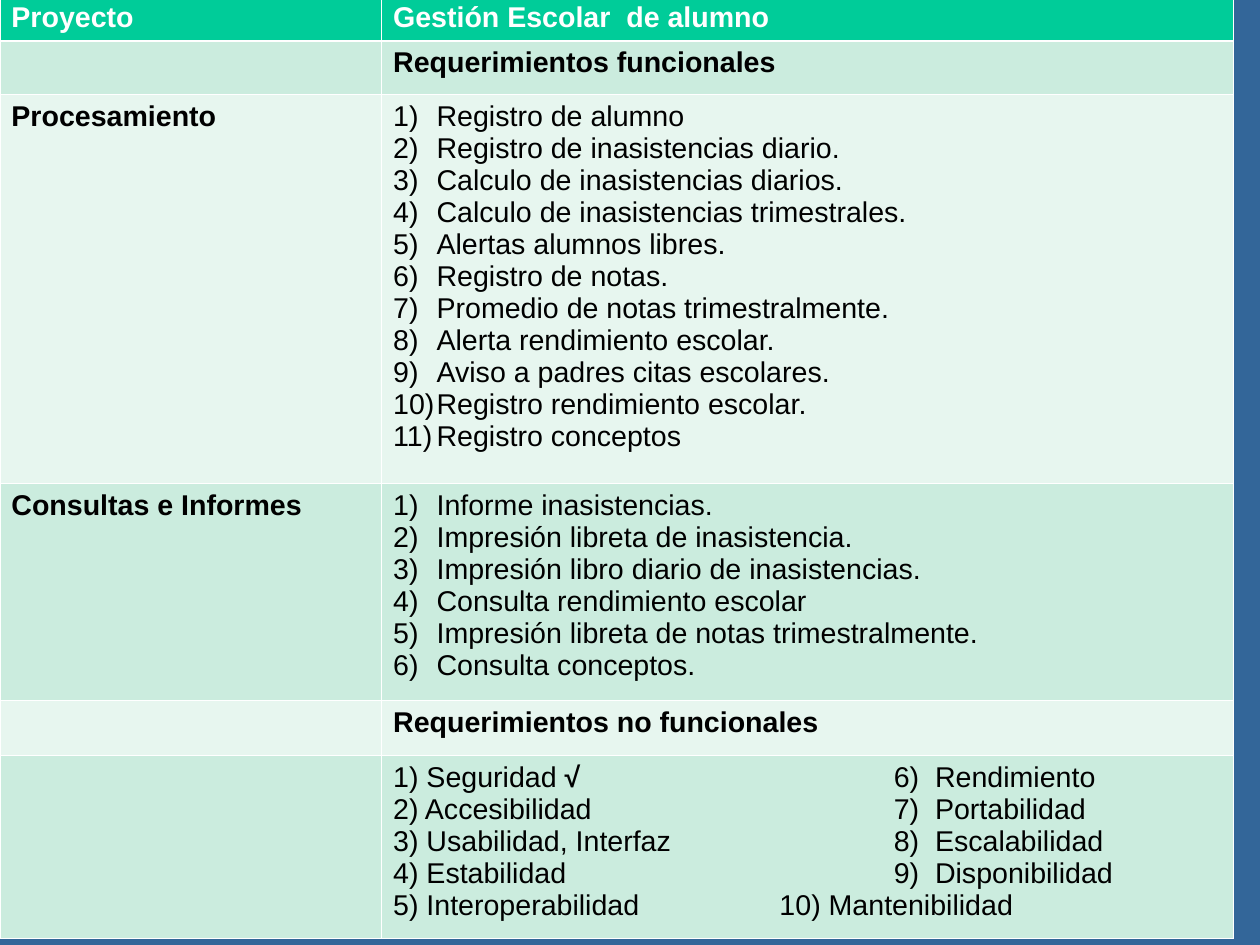
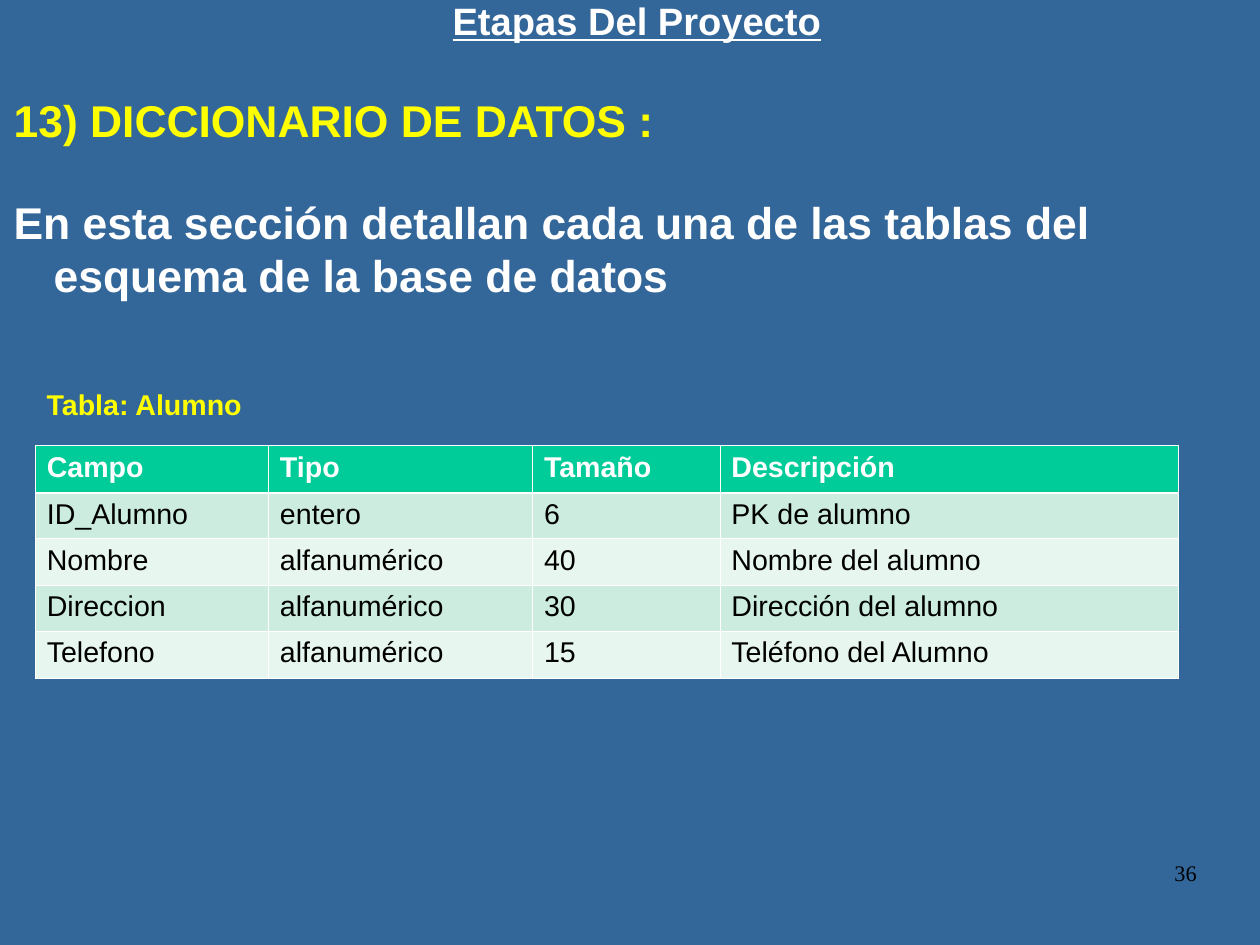
from dataclasses import dataclass
from typing import NamedTuple

from lxml.etree import SubElement
from pptx import Presentation
from pptx.dml.color import RGBColor
from pptx.enum.text import PP_ALIGN as Align
from pptx.oxml.ns import qn
from pptx.slide import Slide
from pptx.table import _Cell as Cell
from pptx.text.text import TextFrame, _Paragraph as Paragraph
from pptx.util import Inches, Pt

COLORS = {
    "background": "336699",
    "header": "00CC99",
    "band_dark": "CBECDE",
    "band_light": "E7F6EF",
    "white": "FFFFFF",
    "black": "000000",
    "yellow": "FFFF00",
}
CM_PER_INCH = 2.54
SLIDE_WIDTH, SLIDE_HEIGHT = 28 / CM_PER_INCH, 21 / CM_PER_INCH
THIN, THICK = 0.45, 1.47
LIST_INDENT = 0.38
TAB_STEP = 1


class Span(NamedTuple):
    text: str
    color: str = "black"
    bold: bool = False
    size: float = 18
    underline: bool = False
    font: str = "Arial"


@dataclass(frozen=True)
class Line:
    spans: tuple[Span, ...]
    align: Align = Align.LEFT
    spacing: float = 1.0
    before: float = 0
    after: float = 0
    hanging: float = 0
    first_indent: float = 0
    numbered: bool = False


class Box(NamedTuple):
    left: float
    top: float
    width: float
    height: float


@dataclass(frozen=True)
class Grid:
    left: float
    top: float
    columns: tuple[float, ...]
    heights: tuple[float, ...]
    rows: list[list[list[Line]]]


def rgb(name: str) -> RGBColor:
    return RGBColor.from_string(COLORS[name])


def plain(text: str) -> list[Line]:
    return [Line((Span(text),))]


def strong(text: str, color: str = "black") -> list[Line]:
    return [Line((Span(text, color, bold=True),))]


def numbered(*items: str) -> list[Line]:
    return [
        Line((Span(item),), hanging=LIST_INDENT, first_indent=-LIST_INDENT, numbered=True)
        for item in items
    ]


def paired(left: str, tabs: int, right: str, mark: str = "") -> Line:
    """Two entries on one line, the second one starting at a tab stop."""
    spans = (Span(left), Span(mark + "\t" * tabs, bold=True), Span(right))
    return Line(spans, hanging=LIST_INDENT, first_indent=-LIST_INDENT)


def format_paragraph(paragraph: Paragraph, line: Line) -> None:
    values = {
        "alignment": line.align,
        "line_spacing": line.spacing,
        "space_before": Pt(line.before),
        "space_after": Pt(line.after),
    }
    for attribute, value in values.items():
        setattr(paragraph, attribute, value)
    properties = paragraph._p.get_or_add_pPr()
    lengths = {"marL": line.hanging, "indent": line.first_indent, "defTabSz": TAB_STEP}
    for attribute, length in lengths.items():
        properties.set(attribute, str(Inches(length)))
    if line.numbered:
        color = SubElement(properties, qn("a:buClr"))
        SubElement(color, qn("a:srgbClr"), val=COLORS["black"])
        SubElement(properties, qn("a:buFont"), typeface="Arial")
        SubElement(properties, qn("a:buAutoNum"), type="arabicParenR")
    else:
        SubElement(properties, qn("a:buNone"))


def write_lines(frame: TextFrame, lines: list[Line]) -> None:
    for index, line in enumerate(lines):
        paragraph = frame.add_paragraph() if index else frame.paragraphs[0]
        format_paragraph(paragraph, line)
        for span in line.spans:
            run = paragraph.add_run()
            run.text = span.text
            values = {
                "name": span.font,
                "size": Pt(span.size),
                "bold": span.bold,
                "underline": span.underline,
            }
            for attribute, value in values.items():
                setattr(run.font, attribute, value)
            run.font.color.rgb = rgb(span.color)


def add_text(slide: Slide, box: Box, lines: list[Line], inset: tuple[float, float] = (0, 0)) -> None:
    frame = slide.shapes.add_textbox(*map(Inches, box)).text_frame
    frame.word_wrap = True
    across, down = map(Inches, inset)
    margins = {
        "margin_left": across,
        "margin_right": across,
        "margin_top": down,
        "margin_bottom": down,
    }
    for attribute, value in margins.items():
        setattr(frame, attribute, value)
    write_lines(frame, lines)


def set_borders(cell: Cell, row: int) -> None:
    """White rules, with a thicker one between the header and the body."""
    widths = {
        "lnL": THIN,
        "lnR": THIN,
        "lnT": THICK if row == 1 else THIN,
        "lnB": THICK if row == 0 else THIN,
    }
    properties = cell._tc.get_or_add_tcPr()
    for side, width in widths.items():
        border = SubElement(properties, qn(f"a:{side}"), w=str(Pt(width)))
        fill = SubElement(border, qn("a:solidFill"))
        SubElement(fill, qn("a:srgbClr"), val=COLORS["white"])


def add_grid(slide: Slide, grid: Grid) -> None:
    frame = slide.shapes.add_table(
        len(grid.rows),
        len(grid.columns),
        Inches(grid.left),
        Inches(grid.top),
        Inches(sum(grid.columns)),
        Inches(sum(grid.heights)),
    )
    table = frame.table
    table.horz_banding = False
    table.first_row = False
    for column, width in zip(table.columns, grid.columns):
        column.width = Inches(width)
    for row, height in zip(table.rows, grid.heights):
        row.height = Inches(height)
    for r, contents in enumerate(grid.rows):
        band = "header" if r == 0 else "band_dark" if r % 2 else "band_light"
        for c, lines in enumerate(contents):
            cell = table.cell(r, c)
            set_borders(cell, r)
            cell.fill.solid()
            cell.fill.fore_color.rgb = rgb(band)
            write_lines(cell.text_frame, lines)


def build_requirements(slide: Slide) -> None:
    processing = numbered(
        "Registro de alumno",
        "Registro de inasistencias diario.",
        "Calculo de inasistencias diarios.",
        "Calculo de inasistencias trimestrales.",
        "Alertas alumnos libres.",
        "Registro de notas.",
        "Promedio de notas trimestralmente.",
        "Alerta rendimiento escolar.",
        "Aviso a padres citas escolares.",
        "Registro rendimiento escolar.",
        "Registro conceptos",
    )
    reports = numbered(
        "Informe inasistencias.",
        "Impresión libreta de inasistencia.",
        "Impresión libro diario de inasistencias.",
        "Consulta rendimiento escolar",
        "Impresión libreta de notas trimestralmente.",
        "Consulta conceptos.",
    )
    qualities = [
        paired("1) Seguridad ", 3, "6)  Rendimiento", mark="√"),
        paired("2) Accesibilidad", 3, "7)  Portabilidad"),
        paired("3) Usabilidad, Interfaz", 2, "8)  Escalabilidad"),
        paired("4) Estabilidad", 3, "9)  Disponibilidad"),
        paired("5) Interoperabilidad", 2, "10) Mantenibilidad"),
    ]
    rows = [
        [strong("Proyecto", "white"), strong("Gestión Escolar  de alumno", "white")],
        [[], strong("Requerimientos funcionales")],
        [strong("Procesamiento"), processing],
        [strong("Consultas e Informes"), reports],
        [[], strong("Requerimientos no funcionales")],
        [[], qualities],
    ]
    heights = (0.4, 0.47, 3.4, 1.9, 0.48, 1.6)
    add_grid(slide, Grid(0, -0.04, (3.34, 7.45), heights, rows))


def build_dictionary(slide: Slide) -> None:
    page_number = Span("36", size=14, font="Times New Roman")
    add_text(slide, Box(7.9, 7.53, 2.57, 0.57), [Line((page_number,), Align.RIGHT, 0.98)])

    body = {"spacing": 0.98, "after": 14.3, "hanging": 0.47, "first_indent": -0.35}
    heading = Span("Etapas Del Proyecto", "white", True, 24, underline=True)
    stage = Span("13) DICCIONARIO DE DATOS :", "yellow", True, 28)
    summary = Span(
        "En esta sección detallan cada una de las tablas del esquema de la base de datos",
        "white", True, 28,
    )
    add_text(slide, Box(0, 0, SLIDE_WIDTH, 2.72), [
        Line((heading,), Align.CENTER, **body),
        Line((stage,), before=17.5, **body),
        Line((summary,), before=17.5, **body),
    ])

    fields = [
        ("ID_Alumno", "entero", "6", "PK de alumno"),
        ("Nombre", "alfanumérico", "40", "Nombre del alumno"),
        ("Direccion", "alfanumérico", "30", "Dirección del alumno"),
        ("Telefono", "alfanumérico", "15", "Teléfono del Alumno"),
    ]
    titles = ("Campo", "Tipo", "Tamaño", "Descripción")
    rows = [[strong(title, "white") for title in titles]]
    rows += [[plain(value) for value in field] for field in fields]
    heights = (0.41, 0.4, 0.41, 0.4, 0.41)
    add_grid(slide, Grid(0.31, 3.9, (2.04, 2.31, 1.64, 4.01), heights, rows))

    caption = Line((Span("Tabla: Alumno", "yellow", bold=True),), spacing=0.97)
    add_text(slide, Box(0.31, 3.35, 1.93, 0.39), [caption], (0.1, 0.05))


def main() -> None:
    deck = Presentation()
    deck.slide_width, deck.slide_height = Inches(SLIDE_WIDTH), Inches(SLIDE_HEIGHT)
    backdrop = deck.slide_master.background.fill
    backdrop.solid()
    backdrop.fore_color.rgb = rgb("background")
    blank = deck.slide_layouts[6]
    for build in (build_requirements, build_dictionary):
        build(deck.slides.add_slide(blank))
    deck.save("out.pptx")


if __name__ == "__main__":
    main()
